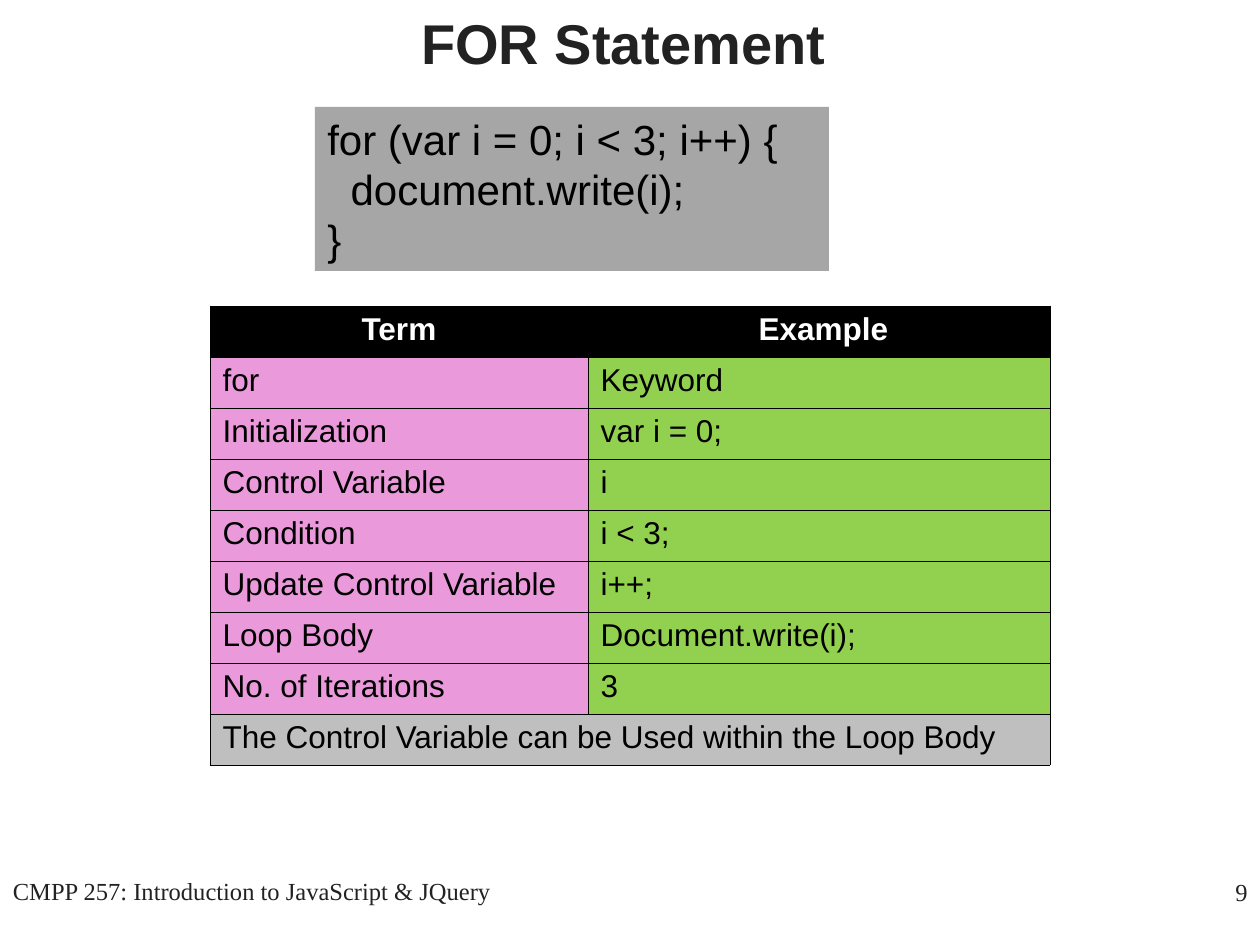
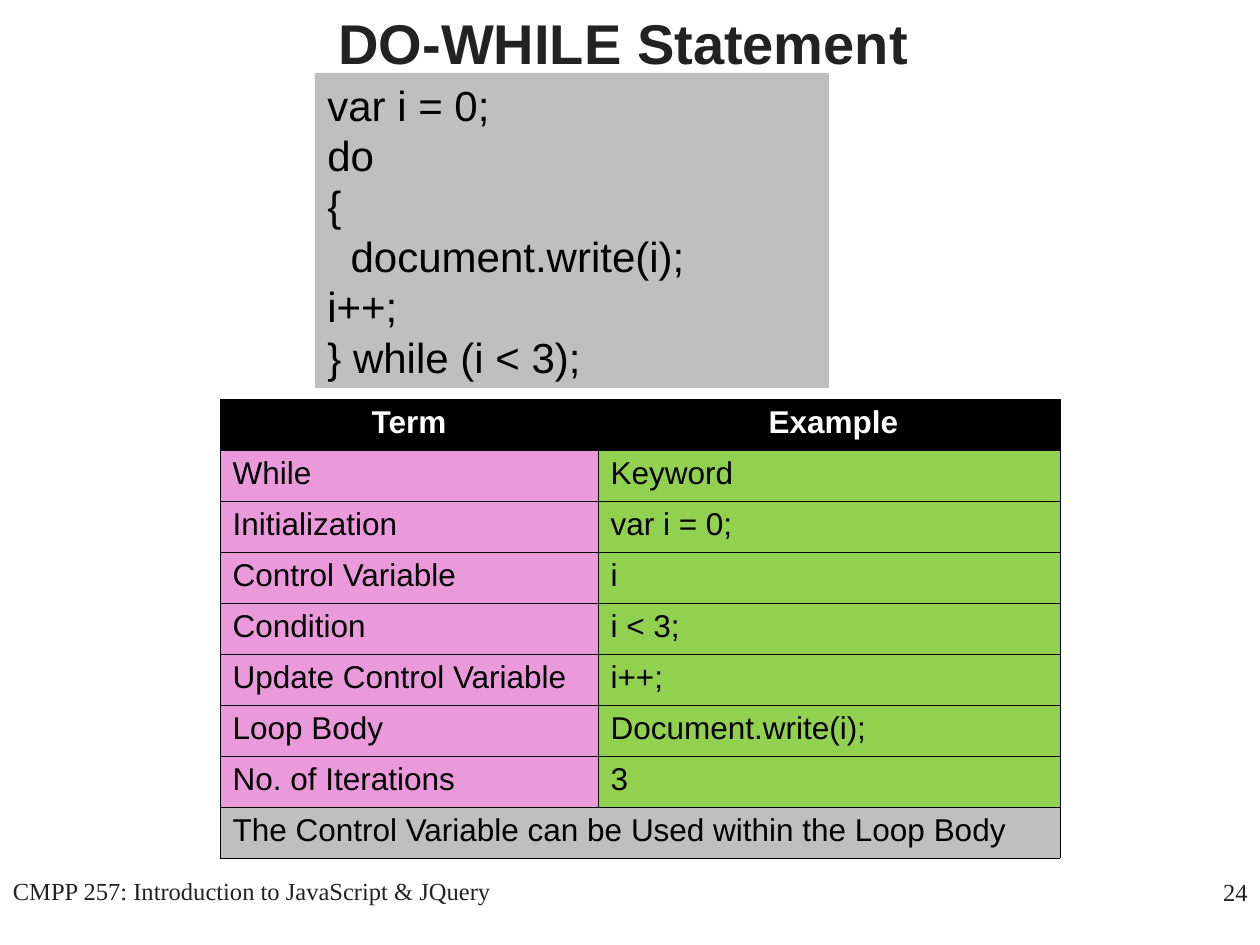
from lxml.etree import SubElement
from pptx import Presentation
from pptx.dml.color import RGBColor
from pptx.enum.shapes import MSO_SHAPE
from pptx.enum.text import MSO_ANCHOR, MSO_AUTO_SIZE, PP_ALIGN
from pptx.oxml.ns import qn
from pptx.util import Emu, Pt

EMU_PER_PX = 914400 / 126
COLORS = {
    "ink": "222222", "black": "000000", "white": "FFFFFF",
    "term": "EA9ADB", "example": "92D050",
    "note": "BFBFBF", "dark_gray": "A6A6A6",
}
HEADING_FONT, FOOTER_FONT = "Arial", "Times New Roman"
COURSE = "CMPP 257: Introduction to JavaScript & JQuery"
NOTE = "The Control Variable can be Used within the Loop Body"
LOOP_PARTS = [
    ("Initialization", "var i = 0;"),
    ("Control Variable", "i"),
    ("Condition", "i < 3;"),
    ("Update Control Variable", "i++;"),
    ("Loop Body", "Document.write(i);"),
    ("No. of Iterations", "3"),
]
COLUMN_WIDTHS, ROW_HEIGHT = (378, 462), 51


def px(length):
    return Emu(round(length * EMU_PER_PX))


def color(name):
    return RGBColor.from_string(COLORS[name])


def write(paragraph, text, size, ink, font=HEADING_FONT, bold=False,
          align=PP_ALIGN.LEFT):
    """Fill a paragraph with one run per line, parted by line breaks."""
    paragraph.alignment = align
    for index, line in enumerate(text.split("\n")):
        if index:
            paragraph.add_line_break()
        run = paragraph.add_run()
        run.text = line
        run.font.name, run.font.size, run.font.bold = font, Pt(size), bold
        run.font.color.rgb = color(ink)


def add_title(slide, text, box):
    title = slide.shapes.title
    title.left, title.top, title.width, title.height = map(px, box)
    frame = title.text_frame
    frame.auto_size = MSO_AUTO_SIZE.NONE
    frame.vertical_anchor = MSO_ANCHOR.MIDDLE
    write(frame.paragraphs[0], text, 32, "ink", bold=True, align=PP_ALIGN.CENTER)


def add_footer_text(slide, text, box, align):
    frame = slide.shapes.add_textbox(*map(px, box)).text_frame
    frame.word_wrap = True
    write(frame.paragraphs[0], text, 14, "ink", FOOTER_FONT, align=align)


def add_code(slide, paragraphs, box, fill):
    panel = slide.shapes.add_shape(MSO_SHAPE.RECTANGLE, *map(px, box))
    panel.shadow.inherit = False
    panel.fill.solid()
    panel.fill.fore_color.rgb = color(fill)
    panel.line.fill.background()
    frame = panel.text_frame
    frame.word_wrap = True
    frame.auto_size = MSO_AUTO_SIZE.SHAPE_TO_FIT_TEXT
    frame.vertical_anchor = MSO_ANCHOR.TOP
    for index, text in enumerate(paragraphs):
        paragraph = frame.add_paragraph() if index else frame.paragraphs[0]
        paragraph.line_spacing = Pt(28.8)
        write(paragraph, text, 24, "black")


def style_cell(cell, fill):
    """Draw thin black borders, then the fill, which must follow them."""
    properties = cell._tc.get_or_add_tcPr()
    for side in ("lnL", "lnR", "lnT", "lnB"):
        border = SubElement(properties, qn(f"a:{side}"), w=str(Pt(0.45)))
        solid = SubElement(border, qn("a:solidFill"))
        SubElement(solid, qn("a:srgbClr"), val=COLORS["black"])
    cell.fill.solid()
    cell.fill.fore_color.rgb = color(fill)


def add_terms(slide, keyword, left, top):
    rows = [("Term", " Example"), (keyword, "Keyword"), *LOOP_PARTS, (NOTE, "")]
    last = len(rows) - 1
    table = slide.shapes.add_table(
        len(rows), 2, px(left), px(top),
        px(sum(COLUMN_WIDTHS)), px(ROW_HEIGHT * len(rows))).table
    table.first_row = table.horz_banding = False
    for column, width in zip(table.columns, COLUMN_WIDTHS):
        column.width = px(width)
    for r, texts in enumerate(rows):
        table.rows[r].height = px(ROW_HEIGHT)
        header = r == 0
        for c, (text, body_fill) in enumerate(zip(texts, ("term", "example"))):
            cell = table.cell(r, c)
            style_cell(cell, "black" if header else "note" if r == last else body_fill)
            if text:
                write(cell.text_frame.paragraphs[0], text, 18,
                      "white" if header else "black", bold=header,
                      align=PP_ALIGN.CENTER if header else PP_ALIGN.LEFT)
    table.cell(last, 0).merge(table.cell(last, 1))


def add_loop_slide(deck, title, number, keyword, code, code_box, code_fill, terms_at):
    slide = deck.slides.add_slide(deck.slide_layouts[5])
    add_footer_text(slide, number, (998, 871, 262, 63), PP_ALIGN.RIGHT)
    add_footer_text(slide, COURSE, (0, 870, 504, 63), PP_ALIGN.CENTER)
    add_title(slide, title, (67, -37, 1113, 158))
    add_code(slide, code, code_box, code_fill)
    add_terms(slide, keyword, *terms_at)


def main():
    deck = Presentation()
    deck.slide_width, deck.slide_height = px(1260), px(945)
    add_loop_slide(
        deck, "FOR Statement", "9", "for",
        ["for (var i = 0; i < 3; i++) {\n  document.write(i);\n}"],
        (315, 107, 514, 164), "dark_gray", (210, 306))
    add_loop_slide(
        deck, "DO-WHILE Statement", "24", "While",
        ["var i = 0;", "do", "{\n  document.write(i);", "i++;\n} while (i < 3);"],
        (315, 73, 514, 315), "note", (220, 399))
    deck.save("out.pptx")


if __name__ == "__main__":
    main()
